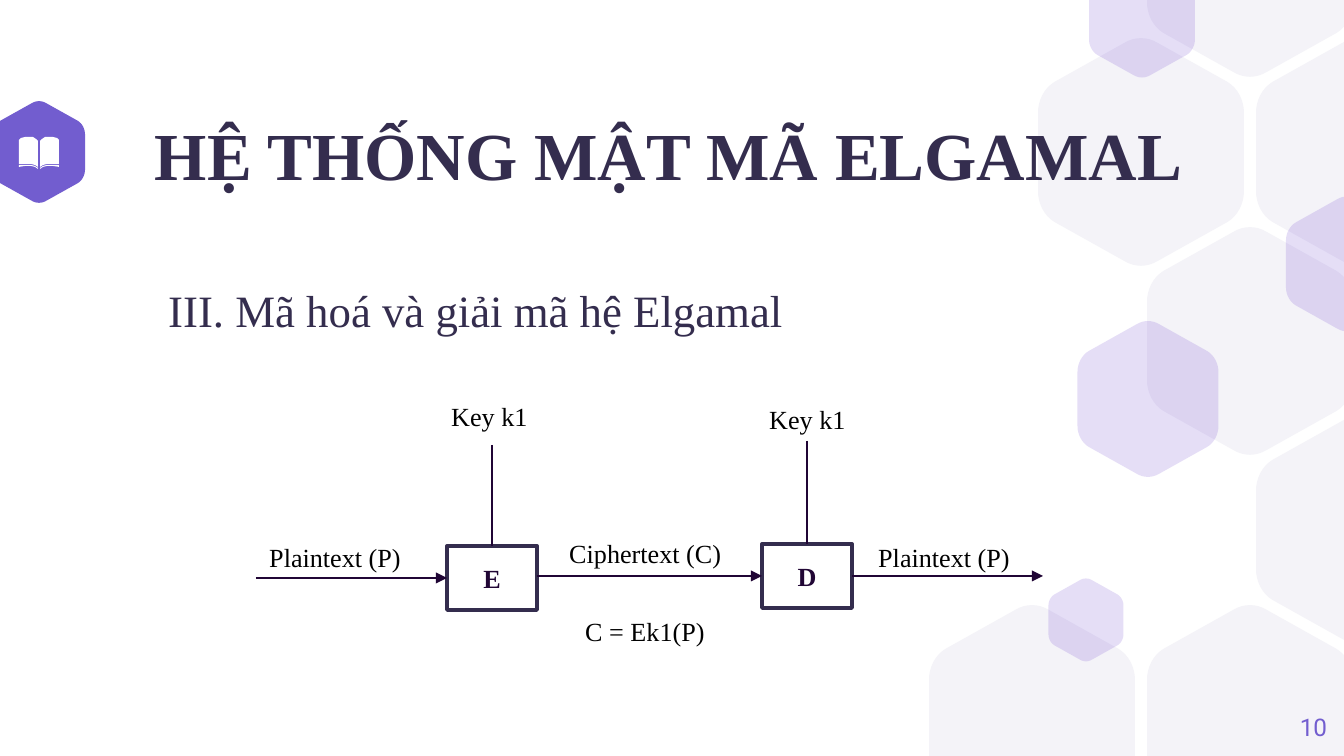
"""Builds the slide on Elgamal encryption and decryption."""
from lxml import etree
from pptx import Presentation
from pptx.dml.color import RGBColor
from pptx.enum.shapes import MSO_CONNECTOR, MSO_SHAPE
from pptx.enum.text import MSO_ANCHOR, PP_ALIGN
from pptx.oxml.ns import qn
from pptx.util import Emu, Pt

RECTANGLE = MSO_SHAPE.RECTANGLE
STRAIGHT = MSO_CONNECTOR.STRAIGHT
TOP, MIDDLE = MSO_ANCHOR.TOP, MSO_ANCHOR.MIDDLE
LEFT, CENTER, RIGHT = PP_ALIGN.LEFT, PP_ALIGN.CENTER, PP_ALIGN.RIGHT
SIDE_TOP, SIDE_LEFT, SIDE_RIGHT = 0, 1, 3

WIDTH, HEIGHT = 1344, 756
SCALE = 914400 / 134.4
COLORS = {
    "white": "FFFFFF", "black": "000000", "ink": "342D4E", "letter": "210635",
    "line": "200535", "accent": "725DCF", "pale": "F4F3F8", "violet": "5322C9",
}
SIDE_CORNER = [(0.5, -0.19), (0.5, -0.25), (0.47, -0.31), (0.42, -0.34)]
TOP_CORNER = [(0.08, -0.53), (0.03, -0.56), (-0.03, -0.56), (-0.08, -0.53)]


def px(value):
    return Emu(round(value * SCALE))


def curve(controls, steps=8):
    points = []
    for step in range(steps + 1):
        t = step / steps
        weights = ((1 - t) ** 3, 3 * t * (1 - t) ** 2, 3 * t * t * (1 - t), t ** 3)
        points.append(tuple(sum(w * c[axis] for w, c in zip(weights, controls))
                            for axis in (0, 1)))
    return points


def unit_hexagon():
    side = curve(SIDE_CORNER)
    upper = side + curve(TOP_CORNER) + [(-x, y) for x, y in reversed(side)]
    return upper + [(-x, -y) for x, y in upper]


class SlideBuilder:
    """Holds the style and the current slide, and draws each kind of element."""

    def __init__(self, slide, font="Times New Roman"):
        self.shapes = slide.shapes
        self.font = font
        self.hexagon_points = unit_hexagon()

    def color(self, name):
        return RGBColor.from_string(COLORS[name])

    def outline(self, points, fill, alpha=None):
        start, *rest = [(px(x), px(y)) for x, y in points]
        builder = self.shapes.build_freeform(*start, scale=1.0)
        builder.add_line_segments(rest, close=True)
        shape = builder.convert_to_shape()
        shape.shadow.inherit = False
        shape.fill.solid()
        shape.fill.fore_color.rgb = self.color(fill)
        shape.line.fill.background()
        if alpha:
            color = shape.element.spPr.find(qn("a:solidFill")).find(qn("a:srgbClr"))
            etree.SubElement(color, qn("a:alpha"), val=str(alpha * 1000))

    def hexagon(self, center_x, center_y, width, fill, alpha=None):
        points = [(center_x + x * width, center_y + y * width)
                  for x, y in self.hexagon_points]
        if center_y < HEIGHT / 2:
            points = [(x, max(y, 0)) for x, y in points]
        else:
            points = [(x, min(y, HEIGHT)) for x, y in points]
        self.outline(points, fill, alpha)

    def style_text(self, shape, text, size, color, bold=False, align=LEFT, anchor=TOP, font=None):
        frame = shape.text_frame
        frame.word_wrap = True
        frame.vertical_anchor = anchor
        frame.text = text
        paragraph = frame.paragraphs[0]
        paragraph.alignment = align
        for run in paragraph.runs:
            run.font.name = font or self.font
            run.font.size = Pt(size)
            run.font.bold = bold
            run.font.color.rgb = self.color(color)
        return paragraph

    def text(self, box, text, size, color="black", inset=True, **style):
        shape = self.shapes.add_textbox(*map(px, box))
        if not inset:
            frame = shape.text_frame
            frame.margin_left = frame.margin_right = 0
            frame.margin_top = frame.margin_bottom = 0
        return self.style_text(shape, text, size, color, **style)

    def block(self, box, letter):
        shape = self.shapes.add_shape(RECTANGLE, *map(px, box))
        shape.shadow.inherit = False
        shape.fill.solid()
        shape.fill.fore_color.rgb = self.color("white")
        shape.line.color.rgb = self.color("ink")
        shape.line.width = Pt(2)
        self.style_text(shape, letter, 14, "letter", bold=True, align=CENTER, anchor=MIDDLE)
        return shape

    def connector(self, start, end, begin=None, finish=None, arrow=True):
        connector = self.shapes.add_connector(STRAIGHT, *map(px, start + end))
        if begin:
            connector.begin_connect(*begin)
        if finish:
            connector.end_connect(*finish)
        connector.line.color.rgb = self.color("line")
        connector.line.width = Pt(0.75)
        properties = connector.element.spPr
        if arrow:
            etree.SubElement(properties.find(qn("a:ln")), qn("a:tailEnd"), type="triangle")
        etree.SubElement(properties, qn("a:effectLst"))


def draw_background(builder):
    builder.hexagon(39, 152, 92, "accent")
    for column, row in [(0, 4), (2, 4), (3, 1), (2, 0), (2, 2), (1, 1), (3, 3)]:
        builder.hexagon(1032 + 109 * column, 189 * row - 37, 206, "pale")
    for x, y, width in [(1347, 264, 122), (1086, 620, 75), (1142, 19, 106), (1148, 399, 141)]:
        builder.hexagon(x, y, width, "violet", alpha=15)


def draw_book(builder, spine=39):
    top = [(1, 141), (3, 139), (6, 137), (10, 137), (14, 137), (18, 138), (20, 140)]
    bottom = [(20, 164), (14, 164), (8, 164), (4, 165), (1, 167)]
    cover_top = [(x, y + 1) for x, y in bottom]
    cover_bottom = [(1, 169), (4, 167), (8, 166), (14, 166), (20, 167)]
    for side in (-1, 1):
        for part in (top + bottom, cover_top + cover_bottom):
            builder.outline([(spine + side * x, y) for x, y in part], "white")


def draw_diagram(builder):
    encrypt = builder.block((447, 546, 90, 64), "E")
    decrypt = builder.block((762, 544, 90, 64), "D")
    builder.connector((256, 578), (447, 578), finish=(encrypt, SIDE_LEFT))
    builder.connector((492, 445), (492, 546), finish=(encrypt, SIDE_TOP), arrow=False)
    builder.connector((537, 576), (762, 576), finish=(decrypt, SIDE_LEFT))
    builder.connector((807, 441), (807, 544), finish=(decrypt, SIDE_TOP), arrow=False)
    builder.connector((852, 576), (1043, 576), begin=(decrypt, SIDE_RIGHT))
    labels = [
        (256, 535, 164, "Plaintext (P)"), (438, 394, 134, "Key k1"),
        (556, 531, 179, "Ciphertext (C)"), (756, 397, 134, "Key k1"),
        (865, 535, 164, "Plaintext (P)"), (572, 609, 150, "C = Ek1(P)"),
    ]
    for left, top, width, label in labels:
        builder.text((left, top, width, 46), label, 14)


def main():
    presentation = Presentation()
    presentation.slide_width, presentation.slide_height = px(WIDTH), px(HEIGHT)
    slide = presentation.slides.add_slide(presentation.slide_layouts[6])
    builder = SlideBuilder(slide)
    draw_background(builder)
    builder.text((1246, 698, 81, 58), "10", 13, "accent", inset=False,
                 align=RIGHT, anchor=MIDDLE, font="Roboto")
    title = builder.text((155, 73, 1035, 171), "HỆ THỐNG MẬT MÃ ELGAMAL", 36, "ink",
                         inset=False, bold=True, anchor=MIDDLE)
    title.line_spacing = 0.9
    builder.text((155, 276, 675, 67), "III. Mã hoá và giải mã hệ Elgamal", 24, "ink")
    draw_diagram(builder)
    draw_book(builder)
    presentation.save("out.pptx")


if __name__ == "__main__":
    main()
